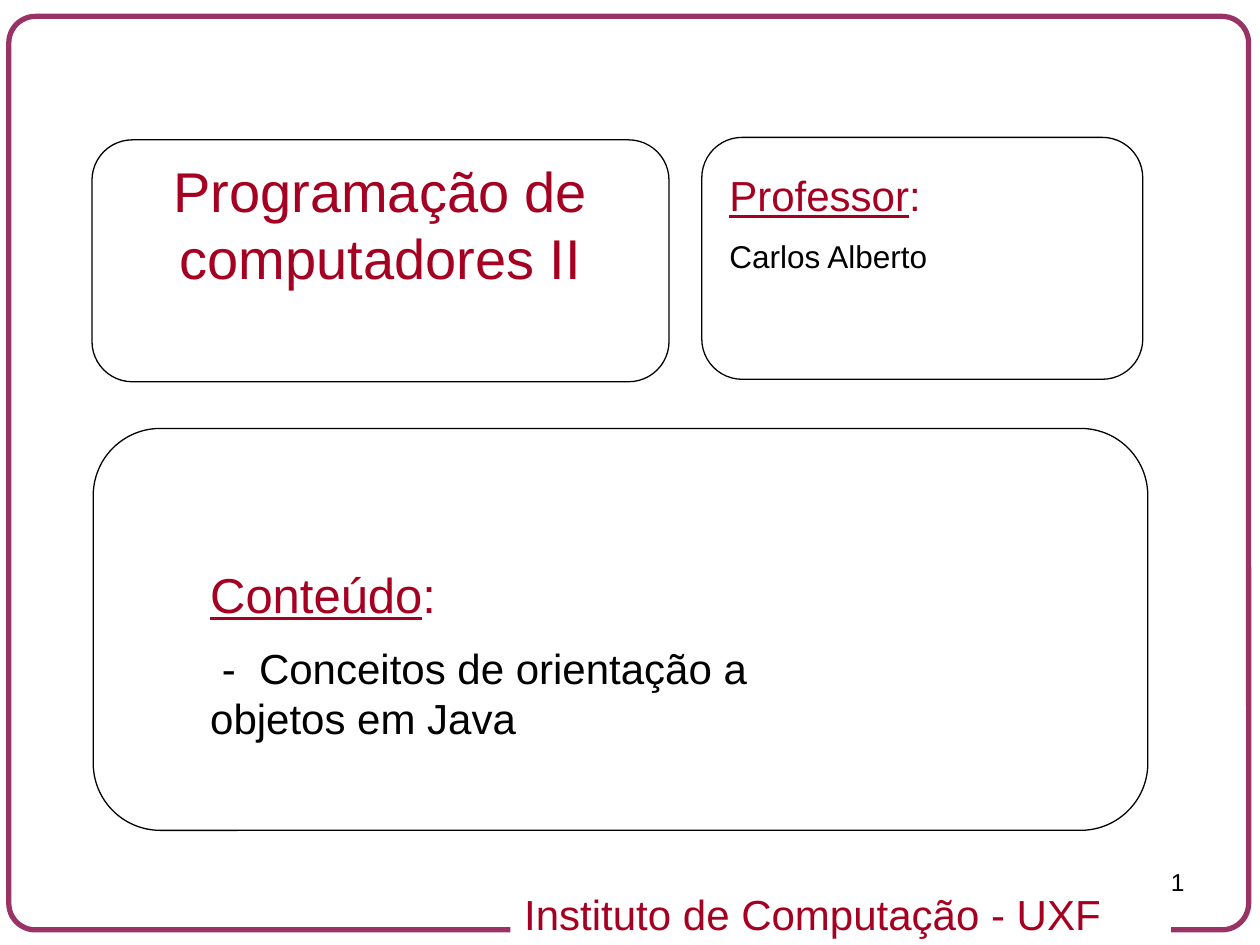
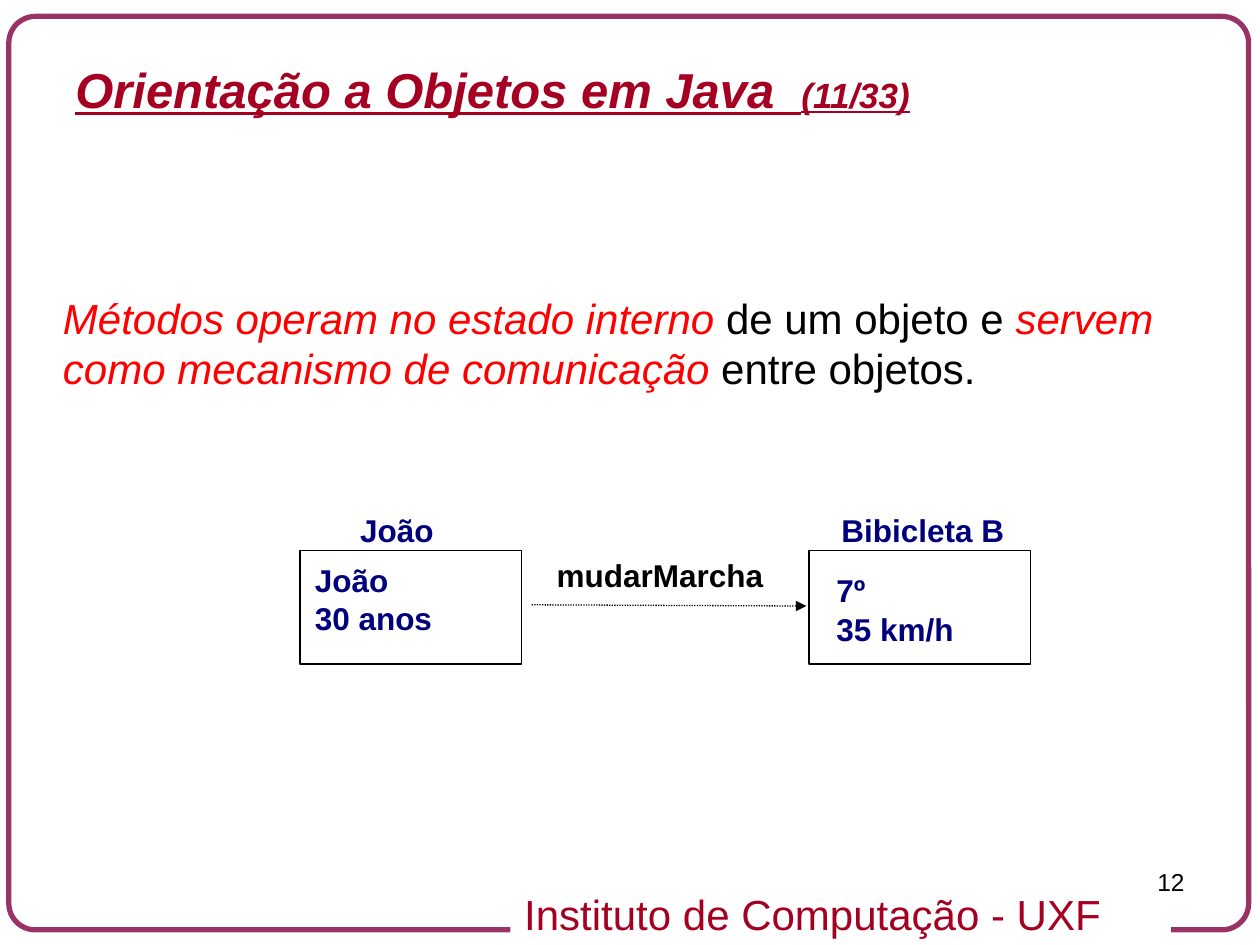
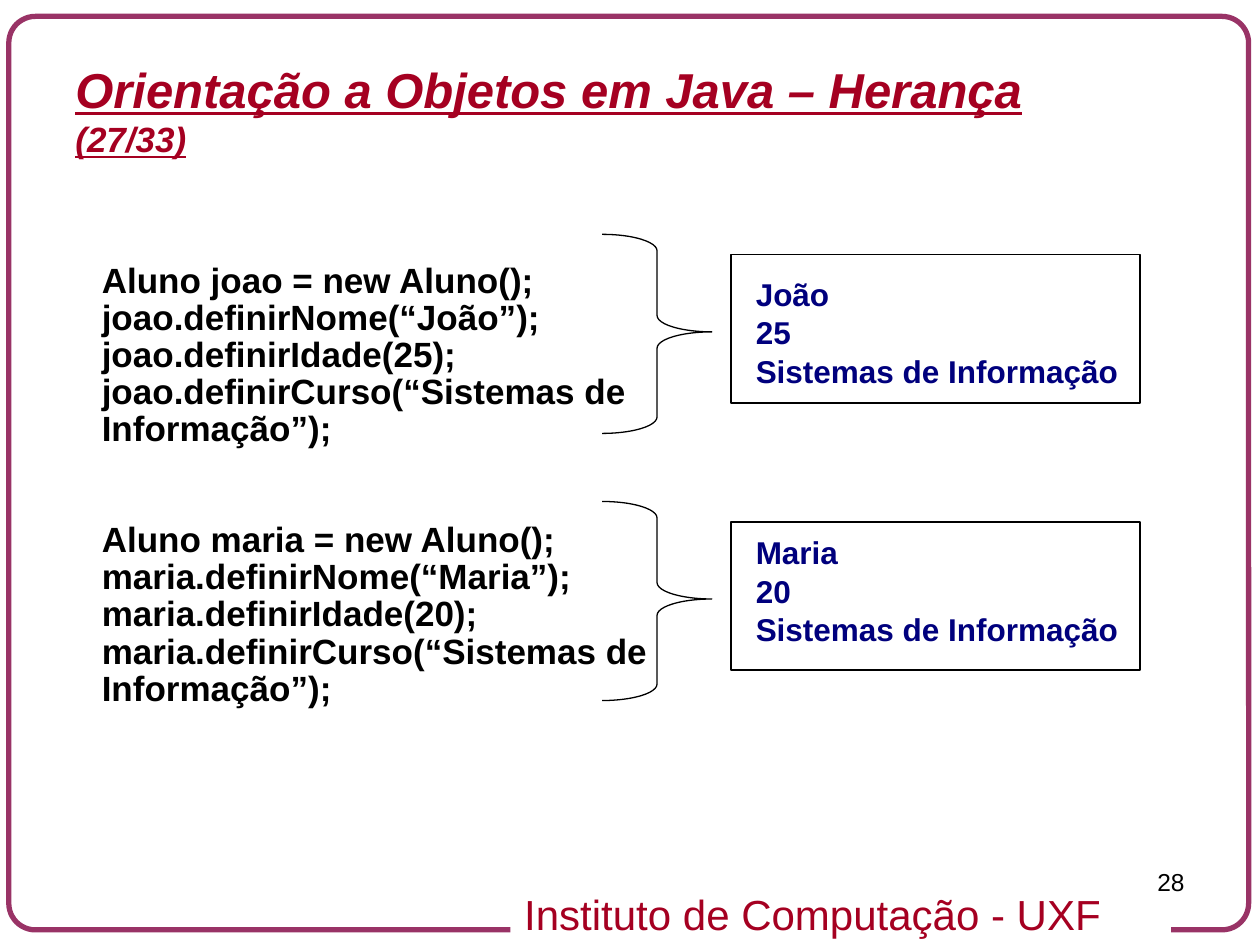
from pptx import Presentation
from pptx.dml.color import RGBColor
from pptx.enum.dml import MSO_LINE
from pptx.enum.shapes import MSO_CONNECTOR, MSO_SHAPE
from pptx.enum.text import PP_ALIGN
from pptx.oxml.ns import qn
from pptx.util import Inches, Pt
from lxml.etree import SubElement

FONT = "Arial"
BLACK, WHITE, WINE, PLUM = "000000", "FFFFFF", "A50021", "993366"
RED, NAVY = "FF0000", "00007D"
LEAD = 1.2  # line height as a share of the font size

# Text styles
BODY = {"size": 24}
HEAD = {"size": 24, "color": WINE}
MARK = {"size": 24, "color": RED, "italic": True}
TITLE = {"size": 28, "color": WINE, "bold": True, "italic": True, "underline": True}
COUNT = {**TITLE, "size": 20}
STATE = {"size": 18, "color": NAVY, "bold": True}
CODE = {"size": 20, "bold": True}

# Paragraph spacing of the tight blocks
TIGHT = {"lead": 12.5, "before": 9.5}
DENSE = {"lead": 13.25, "before": 8}


def paint(code):
    return RGBColor.from_string(code)


class Deck:
    def __init__(self):
        self.prs = Presentation()
        self.prs.slide_width, self.prs.slide_height = Inches(10), Inches(7.5)
        self.slide = None

    def page(self, number):
        """Start a slide with its frame, footer and number."""
        self.slide = self.prs.slides.add_slide(self.prs.slide_layouts[6])
        self.box((0.07, 0.13, 9.84, 7.25), MSO_SHAPE.ROUNDED_RECTANGLE,
                 PLUM, 3, adjust=[0.029])
        self.line((8.46, 7.37), (9.29, 7.37), WHITE, 4.5)
        footer = self.box((4.05, 7, 4.89, 0.5), line=None, fill=WHITE)
        self.put(footer, [[("Instituto de Computação - UXF ", HEAD)]],
                 align=PP_ALIGN.CENTER)
        self.text((7.17, 6.83, 2.33, 0.52), [[(str(number), {"size": 14})]],
                  align=PP_ALIGN.RIGHT)

    def box(self, area, kind=MSO_SHAPE.RECTANGLE, line=BLACK, width=1,
            fill=None, adjust=()):
        shape = self.slide.shapes.add_shape(kind, *map(Inches, area))
        shape.shadow.inherit = False
        for i, value in enumerate(adjust):
            shape.adjustments[i] = value
        if fill:
            shape.fill.solid()
            shape.fill.fore_color.rgb = paint(fill)
        else:
            shape.fill.background()
        if line:
            shape.line.color.rgb = paint(line)
            shape.line.width = Pt(width)
        else:
            shape.line.fill.background()
        return shape

    def line(self, start, end, color=BLACK, width=0.75, arrow=False):
        link = self.slide.shapes.add_connector(
            MSO_CONNECTOR.STRAIGHT, *map(Inches, start + end))
        link.line.color.rgb = paint(color)
        link.line.width = Pt(width)
        props = link.element.spPr
        if arrow:
            link.line.dash_style = MSO_LINE.ROUND_DOT
            SubElement(props.find(qn("a:ln")), qn("a:tailEnd"), type="triangle")
        SubElement(props, qn("a:effectLst"))

    def text(self, area, paras, **form):
        self.put(self.slide.shapes.add_textbox(*map(Inches, area)), paras, **form)

    def put(self, shape, paras, align=PP_ALIGN.LEFT, lead=None, before=0,
            gaps=None, inset=(0.1, 0.05, 0.1, 0.05)):
        """Set the text of a shape; gaps maps a paragraph index to its space before."""
        frame = shape.text_frame
        frame.word_wrap = True
        for side, size in zip(("left", "top", "right", "bottom"), inset):
            setattr(frame, "margin_" + side, Inches(size))
        for i, runs in enumerate(paras):
            para = frame.paragraphs[0] if i == 0 else frame.add_paragraph()
            form = {
                "alignment": align,
                "line_spacing": Pt(lead or runs[0][1]["size"] * LEAD),
                "space_before": Pt((gaps or {}).get(i, before if i else 0)),
            }
            for key, value in form.items():
                setattr(para, key, value)
            for words, style in runs:
                self.run(para, words, style)

    def run(self, para, words, style):
        run = para.add_run()
        run.text = words
        form = {"name": FONT, **style, "size": Pt(style["size"])}
        run.font.color.rgb = paint(form.pop("color", BLACK))
        for key, value in form.items():
            setattr(run.font, key, value)

    def label(self, area, lines, style=STATE):
        self.text(area, [[(words, style)] for words in lines], **TIGHT)


def cover(deck):
    deck.page(1)
    # Cards
    for area in ((0.73, 1.11, 4.58, 1.92), (5.57, 1.09, 3.5, 1.92),
                 (0.74, 3.4, 8.37, 3.19)):
        deck.box(area, MSO_SHAPE.ROUNDED_RECTANGLE, width=0.75, adjust=[0.167])
    # Course, teacher and content
    deck.text((0.74, 1.19, 4.56, 1.17),
              [[("Programação de computadores II", {**HEAD, "size": 32})]],
              align=PP_ALIGN.CENTER)
    deck.text((5.69, 1.3, 3.13, 1.27),
              [[("Professor", {**HEAD, "underline": True}), (":", HEAD)],
               [("Carlos Alberto", {"size": 18})]], before=9.6)
    large = {**HEAD, "size": 28}
    deck.text((1.57, 4.43, 5.43, 1.52),
              [[("Conteúdo", {**large, "underline": True}), (":", large)],
               [(" -  Conceitos de orientação a objetos em Java", BODY)]],
              before=10.8)


def methods(deck):
    deck.page(12)
    deck.text((0.5, 0.42, 7.8, 0.57),
              [[("Orientação a Objetos em Java  ", TITLE), ("(11/33)", COUNT)]])
    deck.text((0.5, 2.32, 9, 4.25),
              [[("Métodos operam no estado interno", MARK),
                (" de um objeto e ", BODY),
                ("servem como mecanismo de comunicação", MARK),
                (" entre objetos.", BODY)]], inset=(0, 0, 0, 0))
    # Objects: box left, name, name left, state, state place
    for left, name, start, state, spot in (
            (2.38, "João", 2.76, ("João", "30 anos"), (2.4, 4.53)),
            (6.42, "Bibicleta B", 6.58, ("7º", "35 km/h"), (6.54, 4.61))):
        deck.box((left, 4.37, 1.76, 0.9))
        deck.label((start, 4.13, 2.69, 0.25), [name])
        deck.label((*spot, 2.69, 0.56), state)
    # Message
    deck.line((4.22, 4.8), (6.4, 4.81), arrow=True)
    deck.label((4.32, 4.49, 2.69, 0.25), ["mudarMarcha"], {**STATE, "color": BLACK})


def heirs(deck):
    deck.page(28)
    deck.text((0.5, 0.42, 7.8, 0.9),
              [[("Orientação a Objetos em Java – Herança", TITLE)],
               [("(27/33)", COUNT)]])
    # Students: variable, name, age, brace top, state top
    code = []
    for var, name, age, top, low in (("joao", "João", 25, 1.86, 2.26),
                                     ("maria", "Maria", 20, 3.98, 4.31)):
        code += [f"Aluno {var} = new Aluno();",
                 f"{var}.definirNome(“{name}”);",
                 f"{var}.definirIdade({age});",
                 f"{var}.definirCurso(“Sistemas de",
                 "Informação”);"]
        deck.box((4.78, top, 0.87, 1.58), MSO_SHAPE.RIGHT_BRACE, width=0.75,
                 adjust=[0.15, 0.49])
        deck.box((5.8, top + 0.16, 3.25, 1.18))
        deck.label((5.9, low, 3.34, 0.87),
                   [name, str(age), "Sistemas de Informação"])
    deck.text((0.71, 1.39, 4.56, 5.51), [[(row, CODE)] for row in code],
              gaps={len(code) // 2: 50}, inset=(0.1, 0.81, 0.1, 0.05), **DENSE)


def main():
    deck = Deck()
    for build in (cover, methods, heirs):
        build(deck)
    deck.prs.save("out.pptx")


if __name__ == "__main__":
    main()
